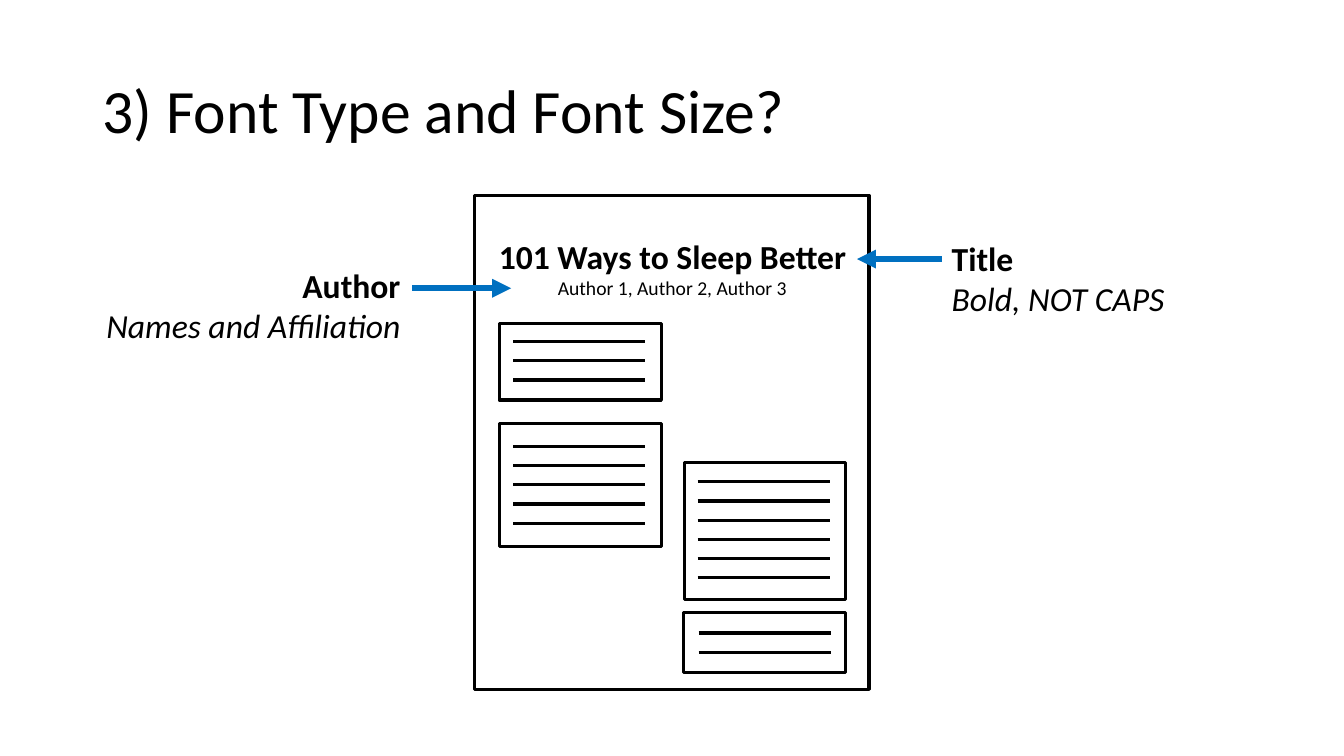
"""Build a slide explaining title and author type on a poster layout."""
from dataclasses import dataclass

from lxml.etree import SubElement
from pptx import Presentation
from pptx.dml.color import RGBColor
from pptx.enum.shapes import MSO_CONNECTOR, MSO_SHAPE
from pptx.enum.text import MSO_ANCHOR, MSO_AUTO_SIZE, PP_ALIGN
from pptx.oxml.ns import qn
from pptx.shapes.connector import Connector
from pptx.slide import Slide
from pptx.util import Emu, Pt

PX = 9144


@dataclass(frozen=True)
class Theme:
    font: str = "Calibri"
    ink: RGBColor = RGBColor(0x00, 0x00, 0x00)
    accent: RGBColor = RGBColor(0x00, 0x70, 0xC0)
    heading: int = 44
    body: int = 24
    small: int = 14
    outline: float = 2.25
    arrow: float = 4.5


THEME = Theme()


@dataclass(frozen=True)
class Box:
    left: int
    top: int
    width: int
    height: int

    def emu(self) -> tuple[Emu, ...]:
        return tuple(Emu(v * PX) for v in (self.left, self.top, self.width, self.height))


@dataclass(frozen=True)
class Line:
    text: str
    size: int = THEME.body
    bold: bool = False
    italic: bool = False


@dataclass(frozen=True)
class Label:
    box: Box
    lines: tuple[Line, ...]
    align: PP_ALIGN


@dataclass(frozen=True)
class Panel:
    box: Box
    line_left: int
    first_line: int
    line_count: int


@dataclass(frozen=True)
class Arrow:
    start: int
    end: int
    y: int


LINE_WIDTH = 131
LINE_PITCH = 19
PAGE = Box(471, 194, 391, 490)
HEADING = Label(Box(92, 40, 1150, 145),
                (Line("3) Font Type and Font Size?", THEME.heading),), PP_ALIGN.LEFT)
LABELS = (
    Label(Box(483, 229, 368, 74),
          (Line("101 Ways to Sleep Better", bold=True),
           Line("Author 1, Author 2, Author 3", THEME.small)), PP_ALIGN.CENTER),
    Label(Box(934, 231, 308, 91),
          (Line("Title", bold=True), Line("Bold, NOT CAPS", italic=True)), PP_ALIGN.LEFT),
    Label(Box(92, 258, 315, 91),
          (Line("Author", bold=True), Line("Names and Affiliation", italic=True)),
          PP_ALIGN.RIGHT),
)
PANELS = (
    Panel(Box(495, 321, 161, 76), 509, 339, 3),
    Panel(Box(495, 420, 161, 122), 509, 443, 5),
    Panel(Box(679, 459, 160, 136), 692, 478, 6),
    Panel(Box(678, 608, 161, 59), 693, 628, 2),
)
ARROWS = (Arrow(934, 850, 257), Arrow(409, 507, 286))


def add_label(s: Slide, label: Label, anchor: MSO_ANCHOR = MSO_ANCHOR.TOP,
              spacing: float = 1.0, grow: bool = True) -> None:
    tf = s.shapes.add_textbox(*label.box.emu()).text_frame
    tf.word_wrap = True
    tf.auto_size = MSO_AUTO_SIZE.SHAPE_TO_FIT_TEXT if grow else MSO_AUTO_SIZE.NONE
    tf.vertical_anchor = anchor
    tf.text = "\n".join(line.text for line in label.lines)
    for p, line in zip(tf.paragraphs, label.lines):
        p.alignment = label.align
        p.line_spacing = spacing
        for r in p.runs:
            r.font.name = THEME.font
            r.font.size = Pt(line.size)
            r.font.bold = line.bold
            r.font.italic = line.italic
            r.font.color.rgb = THEME.ink


def add_outline(s: Slide, box: Box) -> None:
    sp = s.shapes.add_shape(MSO_SHAPE.RECTANGLE, *box.emu())
    sp.shadow.inherit = False
    sp.fill.background()
    sp.line.color.rgb = THEME.ink
    sp.line.width = Pt(THEME.outline)


def add_rule(s: Slide, start: int, end: int, y: int,
             color: RGBColor = THEME.ink, width: float = THEME.outline) -> Connector:
    ends = (Emu(v * PX) for v in (start, y, end, y))
    cxn = s.shapes.add_connector(MSO_CONNECTOR.STRAIGHT, *ends)
    cxn.line.color.rgb = color
    cxn.line.width = Pt(width)
    SubElement(cxn._element.spPr, qn("a:effectLst"))
    return cxn


def add_panel(s: Slide, panel: Panel) -> None:
    add_outline(s, panel.box)
    for i in range(panel.line_count):
        add_rule(s, panel.line_left, panel.line_left + LINE_WIDTH,
                 panel.first_line + i * LINE_PITCH)


def add_arrow(s: Slide, arrow: Arrow) -> None:
    cxn = add_rule(s, arrow.start, arrow.end, arrow.y, THEME.accent, THEME.arrow)
    SubElement(cxn.line._get_or_add_ln(), qn("a:tailEnd"), type="triangle")


def main() -> None:
    prs = Presentation()
    prs.slide_width, prs.slide_height = Emu(1333 * PX), Emu(750 * PX)
    s = prs.slides.add_slide(prs.slide_layouts[6])
    add_label(s, HEADING, MSO_ANCHOR.MIDDLE, 0.9, grow=False)
    add_outline(s, PAGE)
    for panel in PANELS:
        add_panel(s, panel)
    for label in LABELS:
        add_label(s, label)
    for arrow in ARROWS:
        add_arrow(s, arrow)
    prs.save("out.pptx")


if __name__ == "__main__":
    main()
